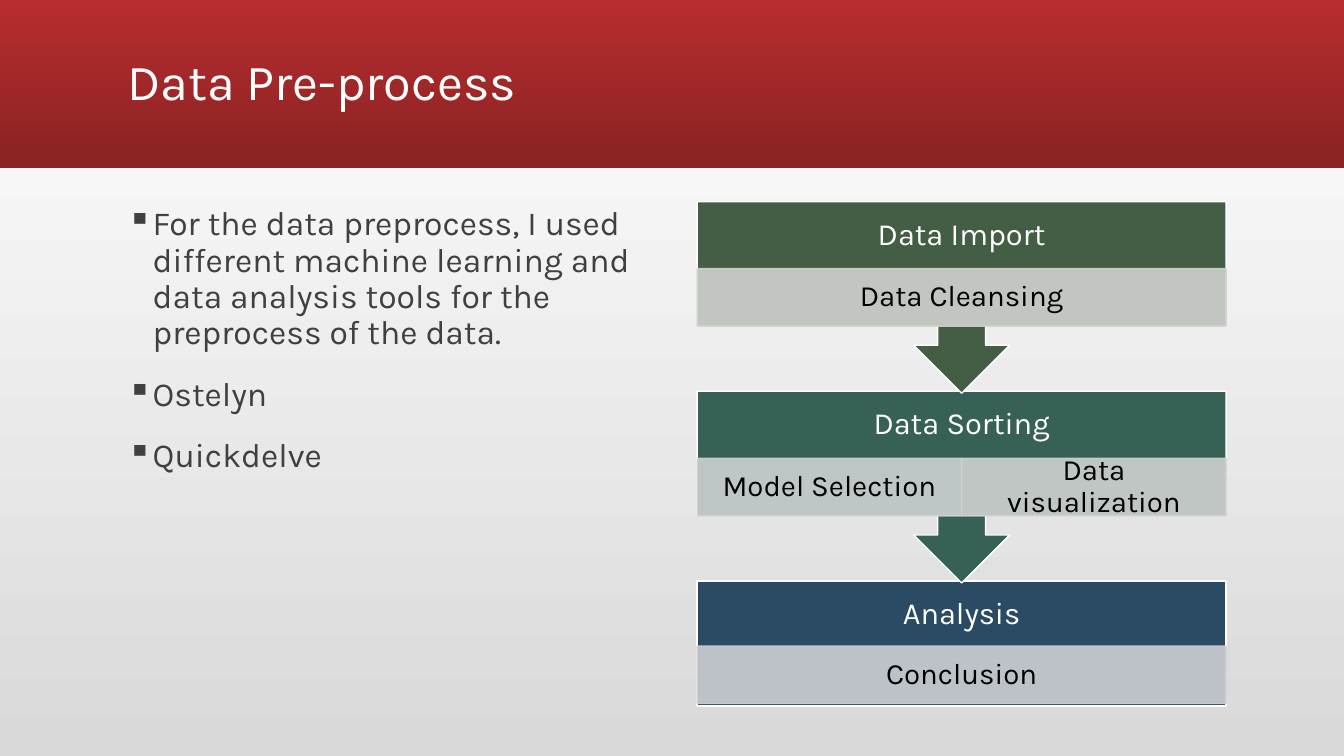
from lxml.etree import SubElement
from pptx import Presentation
from pptx.dml.color import RGBColor
from pptx.enum.shapes import MSO_SHAPE
from pptx.enum.text import MSO_ANCHOR, PP_ALIGN
from pptx.oxml.ns import qn
from pptx.util import Cm, Pt

WHITE = RGBColor(0xFF, 0xFF, 0xFF)
BLACK = RGBColor(0x00, 0x00, 0x00)
DARK = RGBColor(0x40, 0x40, 0x40)
GREY = RGBColor(0xD9, 0xD9, 0xD9)
RED = RGBColor(0xB8, 0x2D, 0x2F)
MAROON = RGBColor(0x8A, 0x22, 0x23)
GREEN = RGBColor(0x44, 0x5E, 0x45)
TEAL = RGBColor(0x37, 0x61, 0x56)
BLUE = RGBColor(0x2B, 0x4A, 0x63)
PALE_GREEN = RGBColor(0xCF, 0xD2, 0xCF)
PALE_TEAL = RGBColor(0xCE, 0xD2, 0xD3)
PALE_MINT = RGBColor(0xCF, 0xD2, 0xD1)
PALE_BLUE = RGBColor(0xCD, 0xD0, 0xD3)

WIDE, HIGH = 33.87, 19.05
LEFT, SPAN = 17.57, 13.33  # flow chart column
TOP, PITCH = 5.08, 4.78    # first step and distance between steps
HEAD, ROW = 1.69, 1.45     # heights of a step's heading and its cells


class Deck:
    font = "Karla"

    def __init__(self):
        self.prs = Presentation()
        self.prs.slide_width, self.prs.slide_height = Cm(WIDE), Cm(HIGH)
        self.slide = self.prs.slides.add_slide(self.prs.slide_layouts[6])

    def blend(self, fill, first, last, angle):
        fill.gradient()
        fill.gradient_angle = angle
        for stop, color, place in zip(fill.gradient_stops, (first, last), (0, 1)):
            stop.color.rgb = color
            stop.position = place

    def shape(self, kind, x, y, w, h):
        shape = self.slide.shapes.add_shape(kind, Cm(x), Cm(y), Cm(w), Cm(h))
        shape.shadow.inherit = False
        return shape

    def band(self, x, y, w, h, first, last):
        band = self.shape(MSO_SHAPE.RECTANGLE, x, y, w, h)
        self.blend(band.fill, first, last, 270)
        band.line.fill.background()

    def block(self, kind, x, y, w, h, fill, line):
        block = self.shape(kind, x, y, w, h)
        block.fill.solid()
        block.fill.fore_color.rgb = fill
        block.line.color.rgb = line
        block.line.width = Pt(1)
        return block

    def letter(self, shape, text, size, color, align=PP_ALIGN.LEFT,
               anchor=MSO_ANCHOR.MIDDLE, inset=(0.25, 0.13)):
        frame = shape.text_frame
        frame.text = text
        frame.word_wrap = True
        frame.vertical_anchor = anchor
        frame.margin_left = frame.margin_right = Cm(inset[0])
        frame.margin_top = frame.margin_bottom = Cm(inset[1])
        for para in frame.paragraphs:
            para.alignment = align
            para.line_spacing = 0.9
            for run in para.runs:
                run.font.name = self.font
                run.font.size = Pt(size)
                run.font.color.rgb = color
        return frame

    def label(self, x, y, w, h, *style, **more):
        box = self.slide.shapes.add_textbox(Cm(x), Cm(y), Cm(w), Cm(h))
        return self.letter(box, *style, **more)

    def bullets(self, x, y, w, h, items, size, color):
        frame = self.label(x, y, w, h, "\n".join(items), size, color,
                           anchor=MSO_ANCHOR.TOP)
        for para in frame.paragraphs:
            para.space_before = Pt(18)
            props = para._p.get_or_add_pPr()
            props.set("marL", str(Cm(0.64)))
            props.set("indent", str(Cm(-0.64)))
            SubElement(props, qn("a:buChar")).set("char", "▪")

    def cell(self, x, y, w, text, color):
        cell = self.block(MSO_SHAPE.RECTANGLE, x, y, w, ROW, color, color)
        for tint in cell._element.spPr.iter(qn("a:srgbClr")):
            SubElement(tint, qn("a:alpha")).set("val", "90000")
        self.letter(cell, text, 21, BLACK, PP_ALIGN.CENTER, inset=(0.41, 0.08))

    def step(self, y, kind, h, head, title, color, cells):
        self.block(kind, LEFT, y, SPAN, h, color, WHITE)
        self.label(LEFT, y, SPAN, HEAD, title, 22, WHITE, PP_ALIGN.CENTER,
                   inset=(0.43, 0.43))
        width = SPAN / len(cells)
        for i, (text, tint) in enumerate(cells):
            self.cell(LEFT + i * width, y + head, width, text, tint)


def main():
    deck = Deck()

    # Background and title band
    deck.blend(deck.slide.background.fill, GREY, WHITE, 90)
    deck.band(0, 0, WIDE, 4.24, RED, MAROON)
    deck.label(2.96, 0.28, 27.94, 3.68, "Data Pre-process", 36, WHITE)

    # Bullet list
    deck.bullets(2.96, TOP, 13.34, 12.7, [
        "For the data preprocess, I used different machine learning and "
        "data analysis tools for the preprocess of the data.",
        "Ostelyn",
        "Quickdelve",
    ], 24, DARK)

    # Flow chart, last step at the back so that the arrows overlap it
    arrow = MSO_SHAPE.DOWN_ARROW_CALLOUT
    steps = [
        (arrow, 4.83, HEAD, "Data Import", GREEN,
         [("Data Cleansing", PALE_GREEN)]),
        (arrow, 4.83, HEAD, "Data Sorting", TEAL,
         [("Model Selection", PALE_TEAL), ("Data visualization", PALE_MINT)]),
        (MSO_SHAPE.RECTANGLE, 3.15, 1.64, "Analysis", BLUE,
         [("Conclusion", PALE_BLUE)]),
    ]
    for i, step in reversed(list(enumerate(steps))):
        deck.step(TOP + i * PITCH, *step)

    deck.prs.save("out.pptx")


if __name__ == "__main__":
    main()
